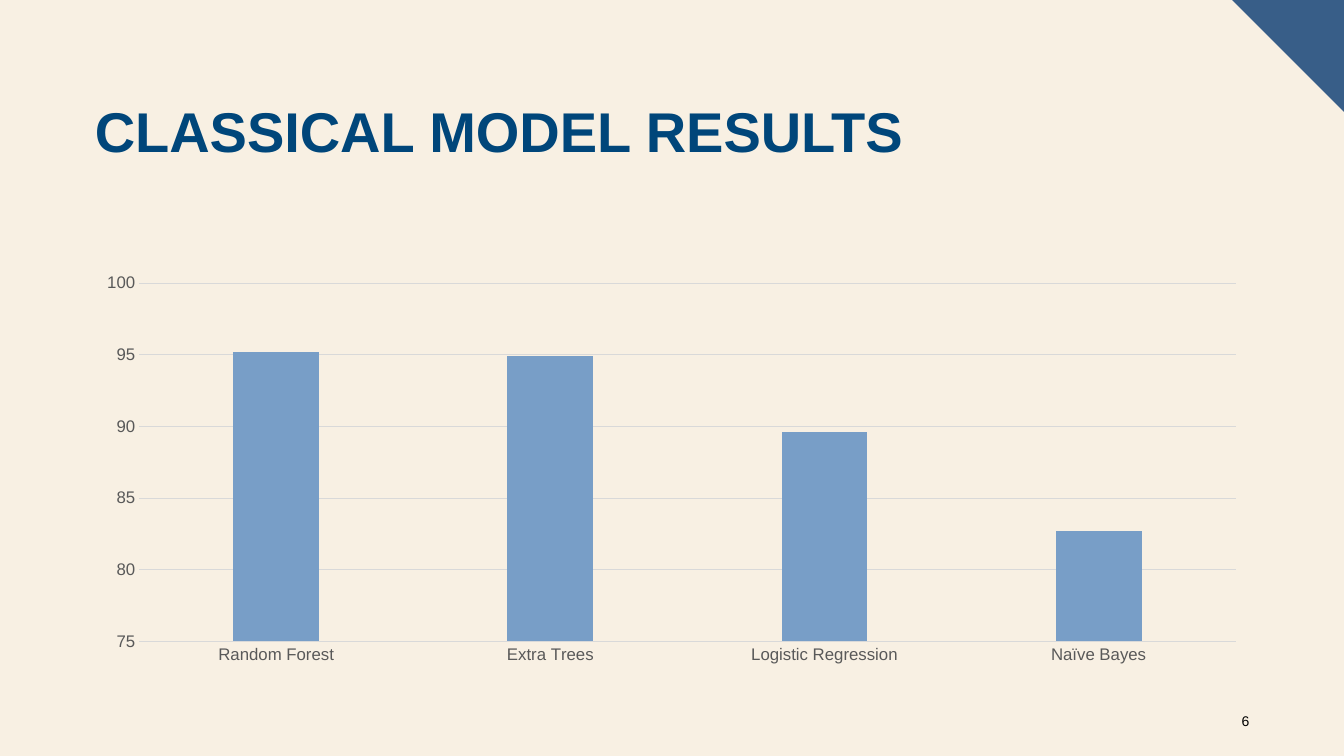
from typing import NamedTuple

from pptx import Presentation
from pptx.chart.data import CategoryChartData
from pptx.dml.color import RGBColor
from pptx.enum.chart import XL_CHART_TYPE, XL_TICK_MARK
from pptx.enum.text import MSO_ANCHOR, MSO_AUTO_SIZE, PP_ALIGN
from pptx.util import Inches, Pt

COLUMNS = XL_CHART_TYPE.COLUMN_CLUSTERED
NO_TICKS = XL_TICK_MARK.NONE
TOP, MIDDLE = MSO_ANCHOR.TOP, MSO_ANCHOR.MIDDLE
LEFT, RIGHT = PP_ALIGN.LEFT, PP_ALIGN.RIGHT
NO_AUTOFIT = MSO_AUTO_SIZE.NONE

FONT = "Arial"
CREAM = "F8F0E3"
CORNER_BLUE = "385E88"
TITLE_BLUE = "00467A"
BAR_BLUE = "789EC7"
LABEL_GRAY = "595959"
GRID_GRAY = "D9D9D9"
BLACK = "000000"

SLIDE_WIDTH, SLIDE_HEIGHT = 13.33, 7.5
CORNER_SIZE = 1.11


class ModelResult(NamedTuple):
    name: str
    score: float


RESULTS = [
    ModelResult("Random Forest", 95.2),
    ModelResult("Extra Trees", 94.9),
    ModelResult("Logistic Regression", 89.6),
    ModelResult("Naïve Bayes", 82.7),
]


def set_fill(fill, color: str) -> None:
    fill.solid()
    fill.fore_color.rgb = RGBColor.from_string(color)


def set_font(font, size: float, color: str, bold: bool = False) -> None:
    font.name = FONT
    font.size = Pt(size)
    font.bold = bold
    font.color.rgb = RGBColor.from_string(color)


def set_line(line, color: str) -> None:
    set_fill(line.fill, color)
    line.width = Pt(0.75)


def place(shape, left: float, top: float, width: float, height: float) -> None:
    shape.left, shape.top = Inches(left), Inches(top)
    shape.width, shape.height = Inches(width), Inches(height)


def write(shape, text: str, anchor, alignment):
    """Set the single paragraph of a shape and return it."""
    frame = shape.text_frame
    frame.word_wrap = True
    frame.auto_size = NO_AUTOFIT
    frame.vertical_anchor = anchor
    paragraph = frame.paragraphs[0]
    paragraph.text = text
    paragraph.alignment = alignment
    return paragraph


def add_corner(slide) -> None:
    left = SLIDE_WIDTH - CORNER_SIZE
    builder = slide.shapes.build_freeform(Inches(left), 0)
    builder.add_line_segments(
        [(Inches(SLIDE_WIDTH), 0), (Inches(SLIDE_WIDTH), Inches(CORNER_SIZE))]
    )
    corner = builder.convert_to_shape()
    corner.shadow.inherit = False
    set_fill(corner.fill, CORNER_BLUE)
    corner.line.fill.background()


def add_title(slide) -> None:
    title = slide.shapes.title
    place(title, 0.84, 0.98, 11.66, 1.45)
    paragraph = write(title, "CLASSICAL MODEL RESULTS", TOP, LEFT)
    paragraph.line_spacing = 0.9
    set_font(paragraph.font, 40, TITLE_BLUE, bold=True)


def add_slide_number(slide) -> None:
    box = slide.shapes.add_textbox(
        Inches(11.99), Inches(6.95), Inches(0.5), Inches(0.4)
    )
    paragraph = write(box, "6", MIDDLE, RIGHT)
    paragraph.space_after = Pt(6)
    set_font(paragraph.font, 10, BLACK)


def add_results_chart(slide) -> None:
    data = CategoryChartData()
    data.categories = [result.name for result in RESULTS]
    data.add_series("Series 1", [result.score for result in RESULTS])
    chart = slide.shapes.add_chart(
        COLUMNS, Inches(0.83), Inches(2.64), Inches(11.66), Inches(4.02), data
    ).chart
    chart.has_title = False
    chart.has_legend = False
    set_font(chart.font, 10, BLACK)

    plot = chart.plots[0]
    plot.gap_width = 219
    plot.overlap = -27
    plot.vary_by_categories = False
    set_fill(plot.series[0].format.fill, BAR_BLUE)

    for axis in (chart.category_axis, chart.value_axis):
        axis.major_tick_mark = axis.minor_tick_mark = NO_TICKS
        set_font(axis.tick_labels.font, 12, LABEL_GRAY)
    set_line(chart.category_axis.format.line, GRID_GRAY)

    value_axis = chart.value_axis
    value_axis.minimum_scale, value_axis.maximum_scale = 75, 100
    value_axis.major_unit = 5
    value_axis.tick_labels.number_format = "0"
    value_axis.tick_labels.number_format_is_linked = False
    value_axis.format.line.fill.background()
    set_line(value_axis.major_gridlines.format.line, GRID_GRAY)


def main() -> None:
    presentation = Presentation()
    presentation.slide_width = Inches(SLIDE_WIDTH)
    presentation.slide_height = Inches(SLIDE_HEIGHT)
    slide = presentation.slides.add_slide(presentation.slide_layouts[5])
    set_fill(slide.background.fill, CREAM)
    add_corner(slide)
    add_title(slide)
    add_slide_number(slide)
    add_results_chart(slide)
    presentation.save("out.pptx")


if __name__ == "__main__":
    main()
